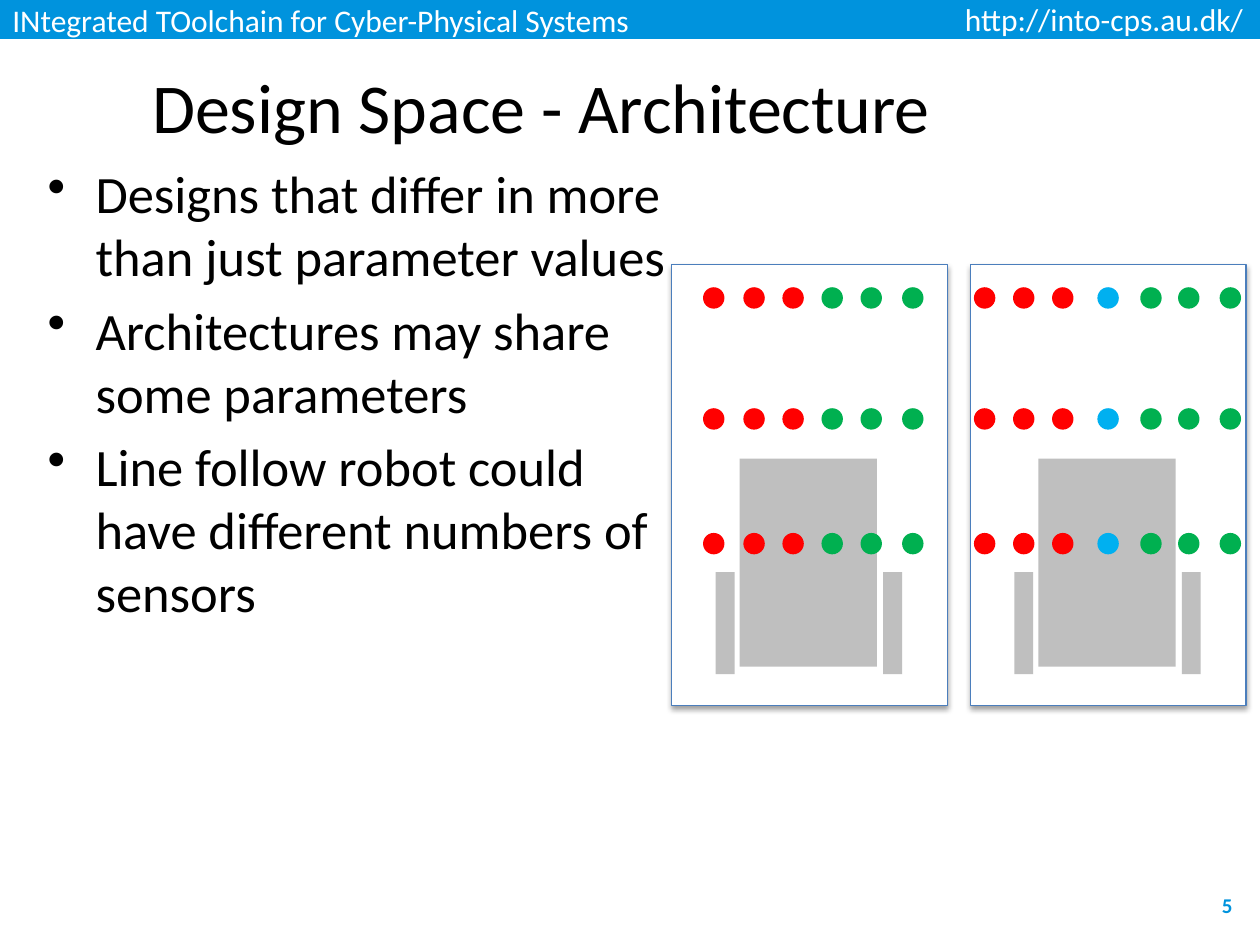
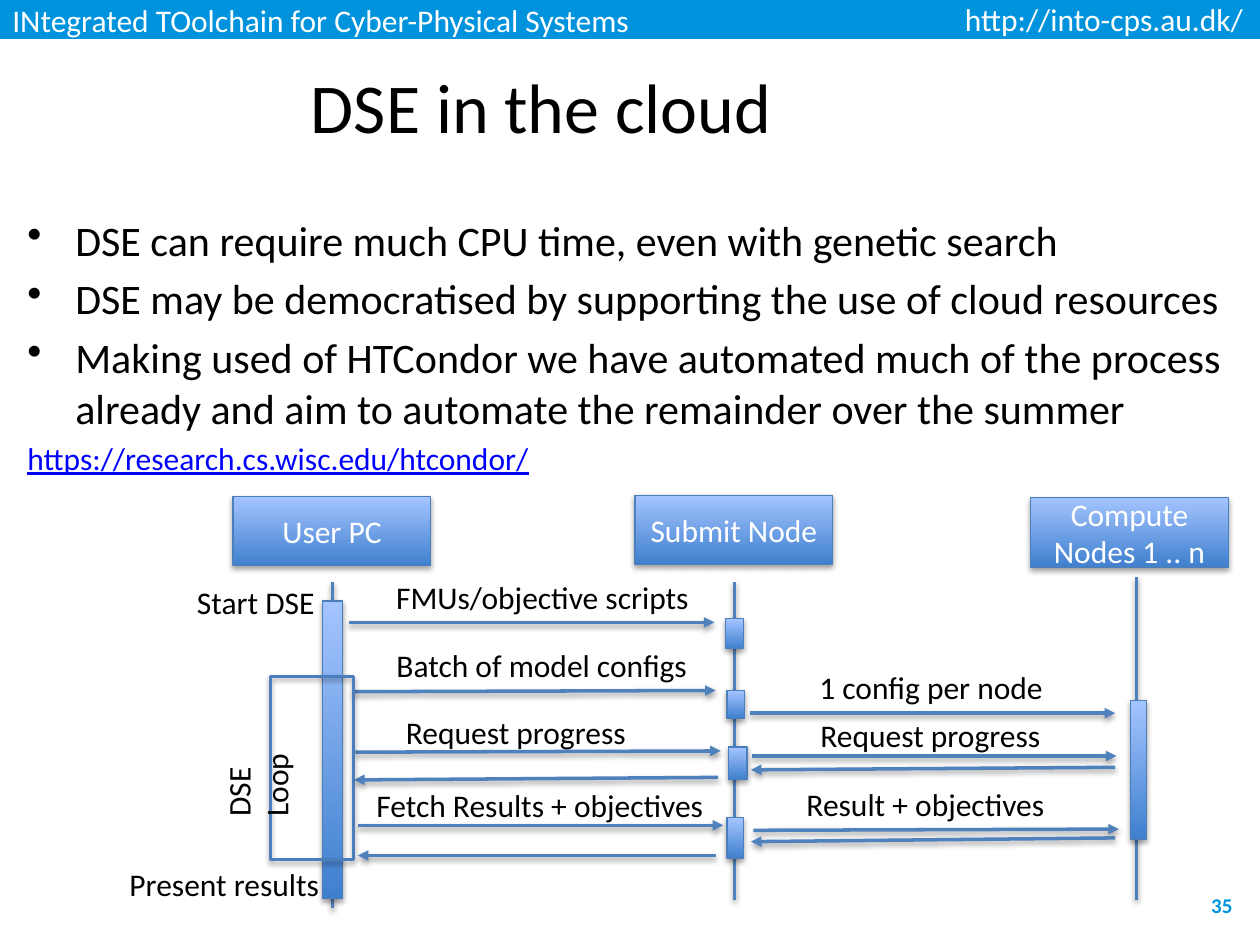
"""Build two slides on design space exploration: robot architectures and DSE in the cloud."""
from dataclasses import dataclass

from lxml.etree import SubElement
from pptx import Presentation
from pptx.dml.color import RGBColor
from pptx.enum.shapes import MSO_CONNECTOR, MSO_SHAPE
from pptx.enum.text import MSO_ANCHOR, PP_ALIGN
from pptx.oxml import parse_xml
from pptx.oxml.ns import nsdecls, qn
from pptx.util import Inches, Pt


@dataclass(frozen=True)
class Theme:
    font: str = "Calibri"
    brand: str = "0093DD"
    white: str = "FFFFFF"
    ink: str = "000000"
    link: str = "0000FF"
    outline: str = "4B7EBC"
    arrow: str = "4F81BD"
    robot: str = "BFBFBF"
    left_sensor: str = "FF0000"
    middle_sensor: str = "00B0F0"
    right_sensor: str = "00B050"
    gradient: tuple = ("3F80CE", "A4C4FF")
    title_size: int = 40
    point_size: int = 30
    small_point_size: int = 24
    label_size: int = 18
    number_size: int = 12
    shadow: str = (
        f'<a:effectLst {nsdecls("a")}><a:outerShdw blurRad="40000" dist="22000" '
        'dir="5400000" rotWithShape="0"><a:srgbClr val="000000">'
        '<a:alpha val="36000"/></a:srgbClr></a:outerShdw></a:effectLst>'
    )


theme = Theme()


def write(frame, text, size=theme.label_size, color=theme.ink, bold=False, underline=False,
          align=PP_ALIGN.LEFT, anchor=MSO_ANCHOR.TOP, wrap=True, bullet=False):
    is_first = not frame.text
    frame.word_wrap = wrap
    frame.vertical_anchor = anchor
    paragraph = frame.paragraphs[0] if is_first else frame.add_paragraph()
    if bullet:
        properties = paragraph._p.get_or_add_pPr()
        properties.set("marL", str(Inches(0.38)))
        properties.set("indent", str(-Inches(0.38)))
        SubElement(properties, qn("a:buChar")).set("char", "•")
    paragraph.alignment = align
    if not is_first:
        paragraph.space_before = Pt(size * 0.2)
    run = paragraph.add_run()
    run.text = text
    run.font.name = theme.font
    run.font.size = Pt(size)
    run.font.bold = bold
    run.font.underline = underline
    run.font.color.rgb = RGBColor.from_string(color)


def draw(shapes, box, fill=None, outline=None, preset=MSO_SHAPE.RECTANGLE):
    shape = shapes.add_shape(preset, *map(Inches, box))
    shape.shadow.inherit = False
    if fill is None:
        shape.fill.background()
    elif fill == theme.gradient:
        shape.fill.gradient()
        shape.fill.gradient_angle = 90
        for stop, shade in zip(shape.fill.gradient_stops, fill):
            stop.color.rgb = RGBColor.from_string(shade)
    else:
        shape.fill.solid()
        shape.fill.fore_color.rgb = RGBColor.from_string(fill)
    if outline is None:
        shape.line.fill.background()
    else:
        shape.line.color.rgb = RGBColor.from_string(theme.outline)
        shape.line.width = Pt(outline)
        properties = shape._element.spPr
        properties.replace(properties.find(qn("a:effectLst")), parse_xml(theme.shadow))
    return shape


deck = Presentation()
deck.slide_width = Inches(10)
deck.slide_height = Inches(7.5)

pages = []
for title, number in [("Design Space - Architecture", "5"), ("DSE in the cloud", "35")]:
    shapes = deck.slides.add_slide(deck.slide_layouts[6]).shapes
    band = draw(shapes, (0, 0, 10, 0.31), theme.brand)
    write(band.text_frame, "INtegrated TOolchain for Cyber-Physical Systems",
          color=theme.white, anchor=MSO_ANCHOR.MIDDLE)
    for box, text, style in [
        ((7.56, -0.05, 2.44, 0.4), "http://into-cps.au.dk/", dict(color=theme.white)),
        ((0.12, 0.45, 8.35, 0.78), title,
         dict(size=theme.title_size, align=PP_ALIGN.CENTER, anchor=MSO_ANCHOR.MIDDLE)),
        ((8.31, 7.06, 1.57, 0.24), number,
         dict(size=theme.number_size, color=theme.brand, bold=True,
              align=PP_ALIGN.RIGHT, anchor=MSO_ANCHOR.MIDDLE)),
    ]:
        write(shapes.add_textbox(*map(Inches, box)).text_frame, text, **style)
    pages.append(shapes)
architecture, cloud = pages

points = architecture.add_textbox(*map(Inches, (0.28, 1.23, 5.22, 5.66))).text_frame
for point in [
    "Designs that differ in more than just parameter values",
    "Architectures may share some parameters",
    "Line follow robot could have different numbers of sensors",
]:
    write(points, point, theme.point_size, bullet=True)

panel_top = 2.1
left, middle, right = theme.left_sensor, theme.middle_sensor, theme.right_sensor
for panel_left, sensors in [
    (5.33, [(0.25, left), (0.57, left), (0.88, left),
            (1.19, right), (1.5, right), (1.83, right)]),
    (7.7, [(0.03, left), (0.34, left), (0.65, left), (1.01, middle),
           (1.35, right), (1.65, right), (1.98, right)]),
]:
    robot = architecture.add_group_shape().shapes
    draw(robot, (panel_left, panel_top, 2.19, 3.5), theme.white, 0.75)
    draw(robot, (panel_left + 0.54, panel_top + 1.54, 1.09, 1.65), theme.robot)
    for wheel in (0.35, 1.68):
        draw(robot, (panel_left + wheel, panel_top + 2.44, 0.15, 0.81), theme.robot)
    for sensor_row in (0.18, 1.14, 2.13):
        for offset, color in sensors:
            draw(robot, (panel_left + offset, panel_top + sensor_row, 0.17, 0.17),
                 color, preset=MSO_SHAPE.OVAL)

points = cloud.add_textbox(*map(Inches, (0.12, 1.65, 9.76, 2.25))).text_frame
for point in [
    "DSE can require much CPU time, even with genetic search",
    "DSE may be democratised by supporting the use of cloud resources",
    "Making used of HTCondor we have automated much of the process already "
    "and aim to automate the remainder over the summer",
]:
    write(points, point, theme.small_point_size, bullet=True)
write(points, "https://research.cs.wisc.edu/htcondor/", color=theme.link, underline=True)

for node_left, node_top, node in [
    (1.85, 3.94, "User PC"),
    (5.04, 3.93, "Submit Node"),
    (8.18, 3.95, "Compute Nodes 1 .. n"),
]:
    header = draw(cloud, (node_left, node_top, 1.57, 0.55), theme.gradient, 0.75)
    write(header.text_frame, node, color=theme.white,
          align=PP_ALIGN.CENTER, anchor=MSO_ANCHOR.MIDDLE)

lifelines = [
    (2.64, 4.62, 2.64, 7.21),
    (5.83, 4.62, 5.83, 7.14),
    (9.02, 4.58, 9.02, 7.14),
]
messages = [
    (2.77, 4.94, 5.67, 4.94),
    (2.8, 5.49, 5.68, 5.48),
    (2.82, 5.97, 5.72, 5.96),
    (5.7, 6.17, 2.81, 6.19),
    (2.84, 6.55, 5.74, 6.55),
    (5.68, 6.79, 2.84, 6.79),
    (5.95, 5.66, 8.85, 5.66),
    (5.97, 6, 8.86, 6),
    (8.85, 6.09, 5.96, 6.11),
    (5.98, 6.59, 8.88, 6.58),
    (8.85, 6.65, 5.96, 6.68),
]
for ends in lifelines + messages:
    connector = cloud.add_connector(MSO_CONNECTOR.STRAIGHT, *map(Inches, ends))
    connector.line.color.rgb = RGBColor.from_string(theme.arrow)
    connector.line.width = Pt(2)
    if ends in messages:
        SubElement(connector.line._get_or_add_ln(), qn("a:tailEnd")).set("type", "triangle")
    connector._element.spPr.append(parse_xml(theme.shadow))

for activation in [
    (2.56, 4.77, 0.16, 2.36),
    (5.76, 4.91, 0.14, 0.24),
    (5.77, 5.48, 0.14, 0.22),
    (5.78, 5.93, 0.15, 0.26),
    (5.77, 6.49, 0.13, 0.32),
    (8.97, 5.56, 0.13, 1.1),
]:
    draw(cloud, activation, theme.gradient, 0.75)

draw(cloud, (2.15, 5.37, 0.66, 1.45), outline=1.75)
loop_label = cloud.add_textbox(*map(Inches, (1.69, 5.48, 0.5, 1.1))).text_frame
loop_label._txBody.bodyPr.set("vert", "vert270")
write(loop_label, "DSE Loop")

for label_left, label_top, label_width, label in [
    (1.46, 4.58, 1.14, "Start DSE"),
    (0.92, 6.82, 1.72, "Present results"),
    (3.03, 4.54, 2.55, "FMUs/objective scripts"),
    (3.03, 5.08, 2.54, "Batch of model configs"),
    (3.11, 5.61, 1.97, "Request progress"),
    (2.87, 6.19, 2.83, "Fetch Results + objectives"),
    (6.39, 5.25, 2, "1 config per node"),
    (6.4, 5.63, 1.97, "Request progress"),
    (6.29, 6.18, 2.11, "Result + objectives"),
]:
    caption = cloud.add_textbox(*map(Inches, (label_left, label_top, label_width, 0.4)))
    write(caption.text_frame, label, align=PP_ALIGN.CENTER, wrap=False)

deck.save("out.pptx")
